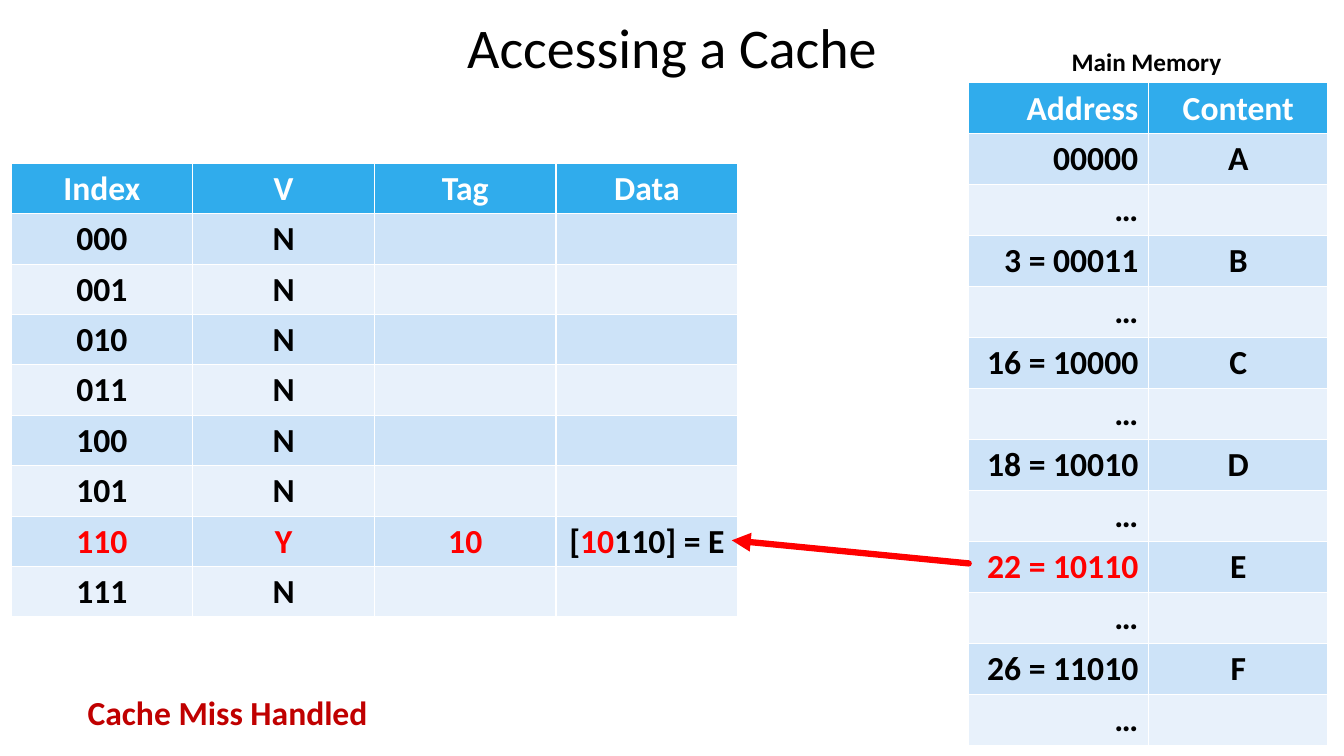
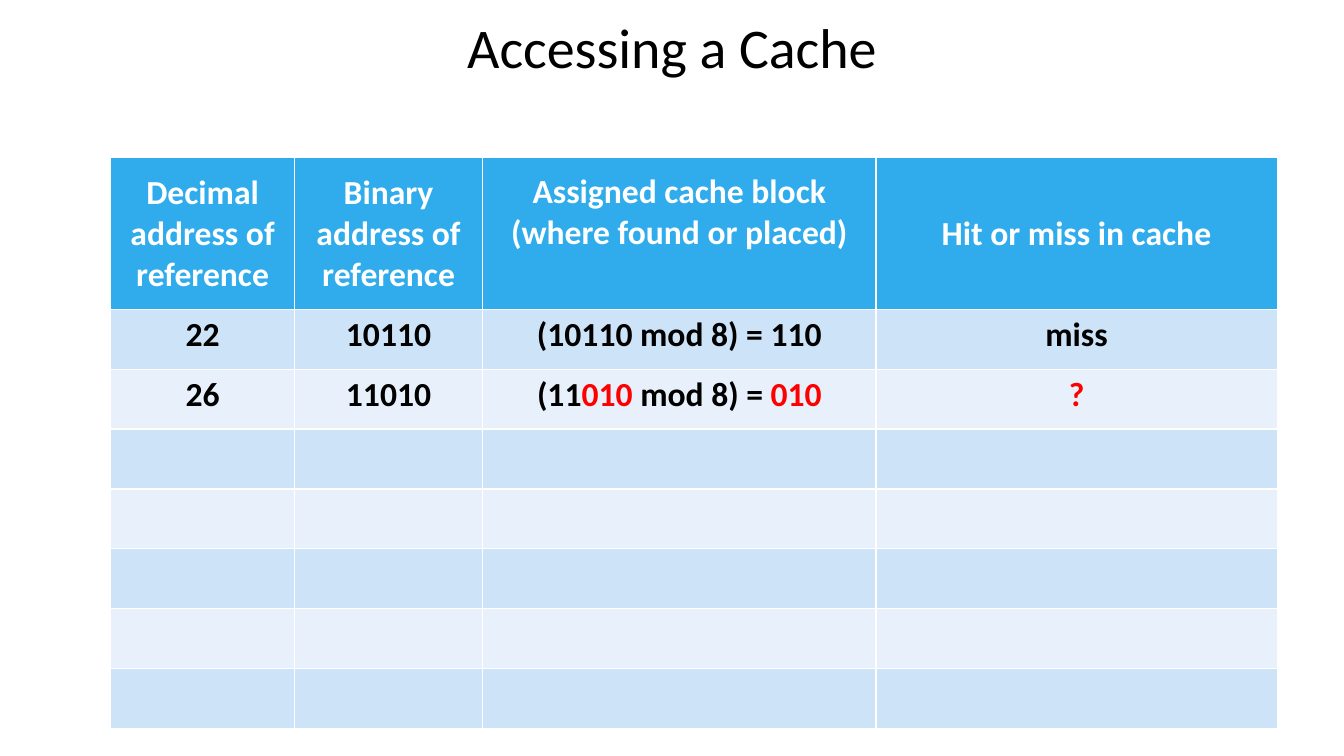
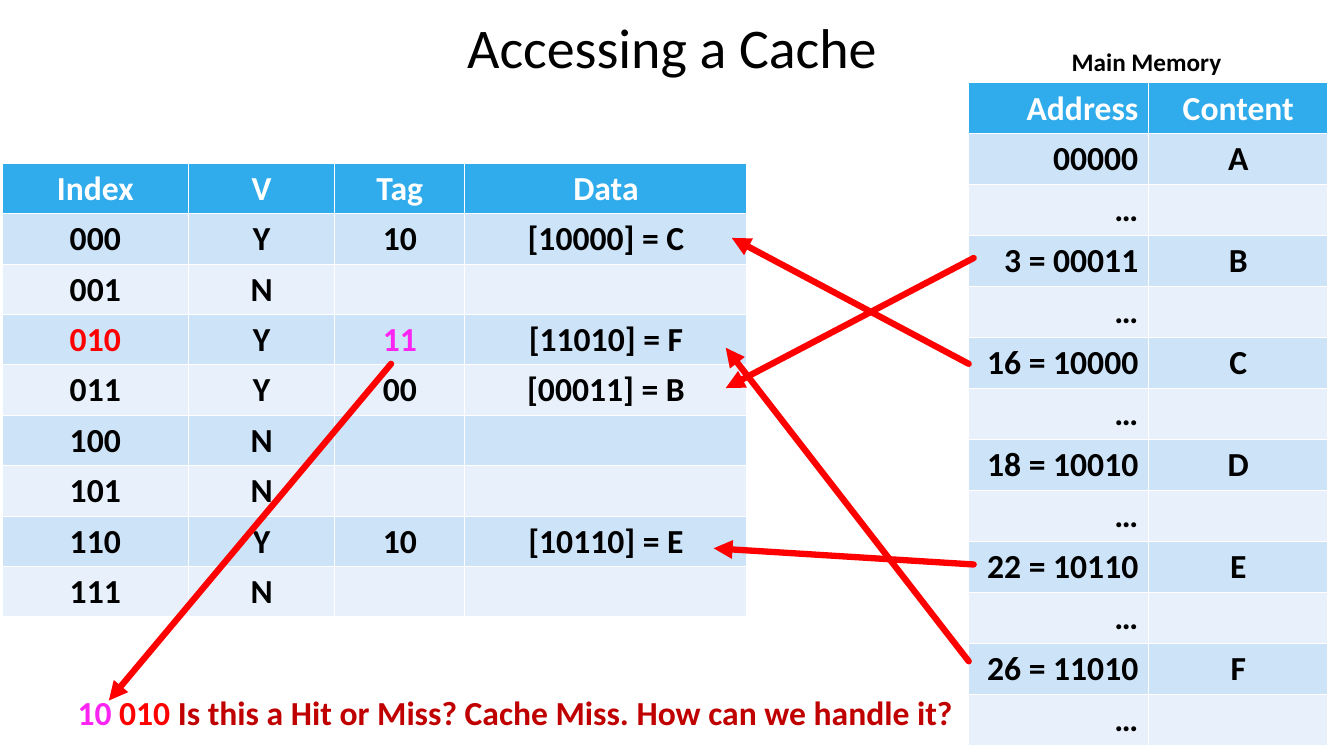
from dataclasses import dataclass

from pptx import Presentation
from pptx import util as u
from pptx.dml.color import RGBColor
from pptx.enum import shapes, text
from pptx.oxml import ns, parse_xml

LEFT, CENTER, RIGHT = text.PP_ALIGN.LEFT, text.PP_ALIGN.CENTER, text.PP_ALIGN.RIGHT


@dataclass(frozen=True)
class Theme:
    """Colours, font and type sizes shared by all slides."""

    font: str = "Calibri"
    ink: str = "000000"
    paper: str = "FFFFFF"
    header: str = "30ACEC"
    bands: tuple = ("CDE3F8", "E8F1FB")
    red: str = "FF0000"
    pink: str = "FC24F2"
    note: str = "C00000"
    title_size: int = 40
    body_size: int = 24
    label_size: int = 18
    arrow_width: float = 4.5


THEME = Theme()


class Deck:
    """Slide builder; every length is a percentage of the slide's size."""

    def __init__(self, theme):
        """Start an empty wide presentation."""
        self.theme = theme
        self.show = Presentation()
        self.show.slide_width = u.Inches(13.33)
        self.show.slide_height = u.Inches(7.5)
        self.slide = None

    def x(self, share):
        """Turn a share of the width into a length."""
        return round(self.show.slide_width * share / 100)

    def y(self, share):
        """Turn a share of the height into a length."""
        return round(self.show.slide_height * share / 100)

    def add_runs(self, frame, content, size, color, align, bold=True):
        """Set a string or a list of (text, colour) runs as one paragraph."""
        line = frame.paragraphs[0]
        line.alignment = align
        runs = [(content, color)] if isinstance(content, str) else content
        for words, tint in runs:
            run = line.add_run()
            run.text = words
            run.font.name = self.theme.font
            run.font.size = u.Pt(size)
            run.font.bold = bold
            run.font.color.rgb = RGBColor.from_string(tint)

    def new_slide(self, heading):
        """Add a slide with its heading across the top."""
        self.slide = self.show.slides.add_slide(self.show.slide_layouts[5])
        title = self.slide.shapes.title
        title.left, title.top = 0, 0
        title.width, title.height = self.x(100), self.y(12.27)
        title.text_frame.vertical_anchor = text.MSO_ANCHOR.MIDDLE
        self.add_runs(title.text_frame, heading, self.theme.title_size,
                      self.theme.ink, CENTER, bold=False)

    def label(self, left, top, width, height, content, size, color):
        """Add a bold line of free text."""
        box = self.slide.shapes.add_textbox(
            self.x(left), self.y(top), self.x(width), self.y(height))
        box.text_frame.word_wrap = True
        self.add_runs(box.text_frame, content, size, color, LEFT)

    def table(self, left, top, columns, heights, rows, aligns):
        """Add a banded table with a coloured header row."""
        grid = self.slide.shapes.add_table(
            len(rows), len(columns), self.x(left), self.y(top),
            self.x(sum(columns)), self.y(sum(heights))).table
        for column, width in zip(grid.columns, columns):
            column.width = self.x(width)
        for number, (row, height, contents) in enumerate(zip(grid.rows, heights, rows)):
            row.height = self.y(height)
            fill = self.theme.bands[(number - 1) % 2] if number else self.theme.header
            color = self.theme.ink if number else self.theme.paper
            for cell, content, align in zip(row.cells, contents, aligns):
                cell.fill.solid()
                cell.fill.fore_color.rgb = RGBColor.from_string(fill)
                cell.margin_bottom = self.y(0.4)
                if not number:
                    cell.vertical_anchor = text.MSO_ANCHOR.MIDDLE
                if content:
                    self.add_runs(cell.text_frame, content, self.theme.body_size, color, align)
        return grid

    def arrow(self, start, end):
        """Draw a red arrow between two points."""
        link = self.slide.shapes.add_connector(
            shapes.MSO_CONNECTOR.STRAIGHT, self.x(start[0]), self.y(start[1]),
            self.x(end[0]), self.y(end[1]))
        link.line.width = u.Pt(self.theme.arrow_width)
        link.line.color.rgb = RGBColor.from_string(self.theme.red)
        properties = link._element.spPr
        outline = properties.find(ns.qn("a:ln"))
        outline.set("cap", "rnd")
        outline.append(parse_xml(f'<a:tailEnd {ns.nsdecls("a")} type="triangle"/>'))
        properties.append(parse_xml(f'<a:effectLst {ns.nsdecls("a")}/>'))

    def memory(self, marked=None):
        """Add the main memory table, with one address in red if asked."""
        rows = [("Address", "Content")]
        for address, content in MEMORY:
            shown = [(address, self.theme.red)] if address == marked else address
            rows += [(shown, content), ("…", "")]
        self.table(72.08, 10.93, [13.37] * 2, [6.75] * len(rows), rows, (RIGHT, CENTER))
        self.label(79, 5.47, 12.83, 5.33, "Main Memory", self.theme.label_size, self.theme.ink)

    def cache(self, left, columns, filled):
        """Add the cache table; blocks not filled are invalid."""
        rows = [("Index", "V", "Tag", "Data")]
        for block in range(8):
            index = f"{block:03b}"
            rows.append(filled.get(index, (index, "N", "", "")))
        self.table(left, 21.6, columns, [6.67] * len(rows), rows, [CENTER] * 4)

    def caption(self, left, width, content):
        """Add the remark at the foot of the slide."""
        self.label(left, 90.93, width, 6.67, content, self.theme.body_size, self.theme.note)


HEADING = "Accessing a Cache"
MEMORY = [("00000", "A"), ("3 = 00011", "B"), ("16 = 10000", "C"),
          ("18 = 10010", "D"), ("22 = 10110", "E"), ("26 = 11010", "F")]


def miss_handled(deck):
    """Show the first block being loaded."""
    red, ink = THEME.red, THEME.ink
    deck.new_slide(HEADING)
    deck.memory(marked="22 = 10110")
    deck.cache(0.82, [13.52] * 4, {
        "110": ([("110", red)], [("Y", red)], [("10", red)],
                [("[", ink), ("10", red), ("110] = E", ink)])})
    deck.caption(5.78, 23.18, "Cache Miss Handled")
    deck.arrow((72.08, 74.53), (54.45, 71.47))


def references(deck):
    """Show the list of references so far."""
    red, ink = THEME.red, THEME.ink
    deck.new_slide(HEADING)
    rows = [
        ("Decimal address of reference", "Binary address of reference",
         "Assigned cache block (where found or placed)", "Hit or miss in cache"),
        ("22", "10110", "(10110 mod 8) = 110", "miss"),
        ("26", "11010",
         [("(11", ink), ("010", red), (" mod 8) = ", ink), ("010", red)], [("?", red)]),
    ] + [("",) * 4] * 5
    grid = deck.table(8.25, 20.8, [13.65, 14.03, 29.25, 29.85],
                      [20.1] + [7.93] * 7, rows, [CENTER] * 4)
    grid.cell(0, 2).margin_bottom = deck.y(6)


def tag_mismatch(deck):
    """Show a reference that meets a different tag."""
    deck.new_slide(HEADING)
    deck.memory()
    deck.cache(0.15, [13.88, 10.88, 9.68, 21], {
        "000": ("000", "Y", "10", "[10000] = C"),
        "010": ([("010", THEME.red)], "Y", [("11", THEME.pink)], "[11010] = F"),
        "011": ("011", "Y", "00", "[00011] = B"),
        "110": ("110", "Y", "10", "[10110] = E")})
    for start, end in [((72.08, 48.13), (54.45, 31.47)),
                       ((72.08, 87.47), (54, 46)),
                       ((72.45, 34.13), (54, 51.33)),
                       ((72.45, 74.67), (53.1, 72.53)),
                       ((29.1, 48.13), (8.1, 92.67))]:
        deck.arrow(start, end)
    deck.caption(5.03, 68.33, [
        ("10 ", THEME.pink), ("010 ", THEME.red),
        ("Is this a Hit or Miss? Cache Miss. How can we handle it?", THEME.note)])


def main():
    """Build and save the slides."""
    deck = Deck(THEME)
    for build in (miss_handled, references, tag_mismatch):
        build(deck)
    deck.show.save("out.pptx")


if __name__ == "__main__":
    main()
